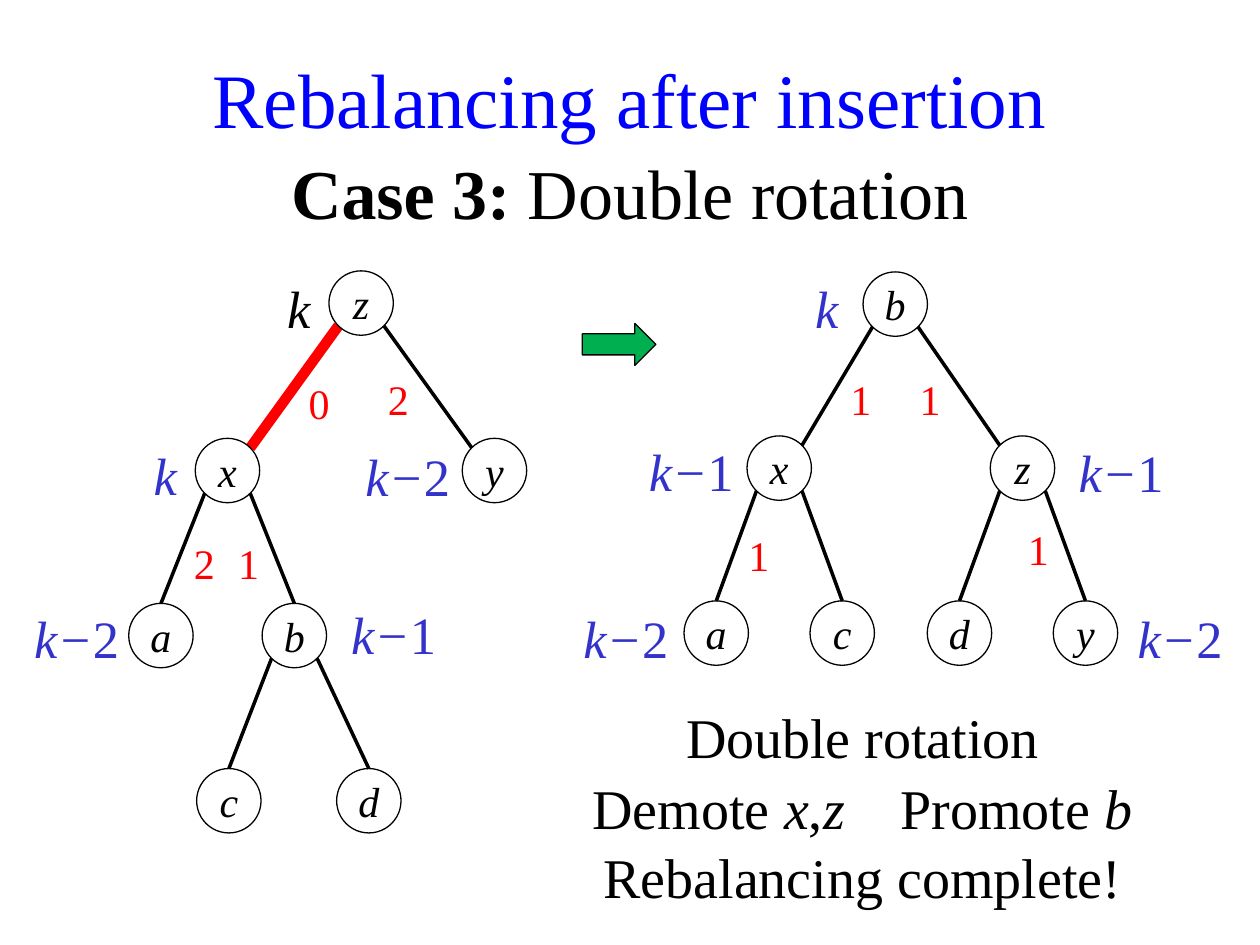
from lxml import etree
from pptx import Presentation
from pptx.dml.color import RGBColor
from pptx.enum.shapes import MSO_CONNECTOR, MSO_SHAPE
from pptx.enum.text import MSO_ANCHOR, PP_ALIGN
from pptx.oxml.ns import qn
from pptx.util import Pt

STRAIGHT = MSO_CONNECTOR.STRAIGHT
OVAL, RIGHT_ARROW = MSO_SHAPE.OVAL, MSO_SHAPE.RIGHT_ARROW
MIDDLE = MSO_ANCHOR.MIDDLE
CENTER, LEFT = PP_ALIGN.CENTER, PP_ALIGN.LEFT

BLACK = RGBColor(0x00, 0x00, 0x00)
RED = RGBColor(0xFF, 0x00, 0x00)
BLUE = RGBColor(0x00, 0x00, 0xFF)
INDIGO = RGBColor(0x33, 0x33, 0xCC)
GREEN = RGBColor(0x00, 0xB0, 0x50)

RADIUS = 18.4
DIAGONAL = 13  # offset of a point at 45 degrees on a node's rim
ITALIC = {"italic": True}

prs = Presentation()
prs.slide_width, prs.slide_height = Pt(720), Pt(540)
slide = prs.slides.add_slide(prs.slide_layouts[6])


def write(shape, runs, size, color, align=CENTER):
    """Fill the first paragraph with (text, format) runs."""
    paragraph = shape.text_frame.paragraphs[0]
    paragraph.alignment = align
    for text, extra in runs:
        run = paragraph.add_run()
        run.text = text
        run.font.color.rgb = color
        style = {"name": "Times New Roman", "size": Pt(size), **extra}
        for attribute, value in style.items():
            setattr(run.font, attribute, value)
    return paragraph


def add_text(center, top, width, height, runs, size, color, align=CENTER):
    box = slide.shapes.add_textbox(Pt(center - width / 2), Pt(top), Pt(width), Pt(height))
    box.text_frame.word_wrap = True
    return box, write(box, runs, size, color, align)


title, _ = add_text(360, 19, 720, 73.4, [("Rebalancing after insertion", {})], 44, BLUE)
title.text_frame.vertical_anchor = MIDDLE
add_text(360, 82, 720, 55.4, [("Case 3:", {"bold": True}), (" Double rotation", {})], 40, BLACK)

# Nodes: letter -> centre. Edges: parent, child, colour, width.
# Ranks and rank differences: text, centre, top, colour.
before = {
    "nodes": {"z": (206.4, 173.2), "x": (130, 268.9), "y": (282.6, 268.9),
              "a": (92, 363.2), "b": (168.2, 363.2), "c": (130.8, 457.6), "d": (210.8, 457.6)},
    "edges": [("z", "x", RED, 6), ("z", "y", BLACK, 2), ("x", "a", BLACK, 2),
              ("x", "b", BLACK, 2), ("b", "c", BLACK, 2), ("b", "d", BLACK, 2)],
    "ranks": [("k", 170.8, 154, BLACK), ("k", 94.5, 249.5, INDIGO), ("k−2", 233, 250, INDIGO),
              ("k−2", 43.8, 343, INDIGO), ("k−1", 225, 340.5, INDIGO)],
    "differences": [("0", 182.3, 212), ("2", 227.6, 210), ("2", 116.8, 303.5), ("1", 142, 303.5)],
}
after = {
    "nodes": {"b": (511.6, 173.8), "x": (445.3, 267.5), "z": (584.3, 267.5),
              "a": (409.3, 361.8), "c": (481.3, 361.8), "d": (548.3, 361.8), "y": (620.3, 361.8)},
    "edges": [("b", "x", BLACK, 2), ("b", "z", BLACK, 2), ("x", "a", BLACK, 2),
              ("x", "c", BLACK, 2), ("z", "d", BLACK, 2), ("z", "y", BLACK, 2)],
    "ranks": [("k", 472.5, 154, INDIGO), ("k−1", 395, 247.5, INDIGO), ("k−1", 640.6, 248, INDIGO),
              ("k−2", 357.6, 343, INDIGO), ("k−2", 674.4, 343, INDIGO)],
    "differences": [("1", 491.9, 210), ("1", 531.5, 210), ("1", 433.6, 299), ("1", 593.4, 295.5)],
}

for tree in (before, after):
    nodes = tree["nodes"]
    root = next(iter(nodes))

    for parent, child, color, width in tree["edges"]:
        (parent_x, parent_y), (child_x, child_y) = nodes[parent], nodes[child]
        side = 1 if child_x > parent_x else -1
        # Edges from the root meet the child at its rim diagonal, others at its top
        if parent == root:
            end_x, end_y = child_x - side * DIAGONAL, child_y - DIAGONAL
        else:
            end_x, end_y = child_x, child_y - RADIUS
        edge = slide.shapes.add_connector(
            STRAIGHT, Pt(parent_x + side * DIAGONAL), Pt(parent_y + DIAGONAL), Pt(end_x), Pt(end_y))
        edge.line.color.rgb = color
        edge.line.width = Pt(width)
        etree.SubElement(edge._element.spPr, qn("a:effectLst"))

    for letter, (x, y) in nodes.items():
        node = slide.shapes.add_shape(
            OVAL, Pt(x - RADIUS), Pt(y - RADIUS), Pt(2 * RADIUS), Pt(2 * RADIUS))
        node.shadow.inherit = False
        node.fill.background()
        node.line.color.rgb = BLACK
        node.line.width = Pt(0.75)
        frame = node.text_frame
        frame.vertical_anchor = MIDDLE
        for margin in ("margin_left", "margin_top", "margin_right", "margin_bottom"):
            setattr(frame, margin, 0)
        write(node, [(letter, ITALIC)], 24, BLACK)

    for rank, center, top, color in tree["ranks"]:
        runs = [(rank[:2], ITALIC)] + [(digit, {}) for digit in rank[2:]]
        add_text(center, top, 77, 44, runs, 30, color)

    for difference, center, top in tree["differences"]:
        add_text(center, top, 46, 36, [(difference, {})], 24, RED)

arrow = slide.shapes.add_shape(RIGHT_ARROW, Pt(332.8), Pt(184.8), Pt(42), Pt(24))
arrow.shadow.inherit = False
arrow.fill.solid()
arrow.fill.fore_color.rgb = GREEN
arrow.line.color.rgb = BLACK
arrow.line.width = Pt(0.75)

add_text(493, 398, 425, 46, [("Double rotation", {})], 32, BLACK)
add_text(493, 478, 382, 46, [("Rebalancing complete!", {})], 32, BLACK)
_, steps = add_text(
    507, 438.5, 351, 46,
    [("Demote ", {}), ("x", ITALIC), (",", {}), ("z", ITALIC), ("\tPromote ", {}), ("b", ITALIC)],
    32, BLACK, LEFT)
tab_stops = etree.SubElement(steps._p.get_or_add_pPr(), qn("a:tabLst"))
etree.SubElement(tab_stops, qn("a:tab"), pos=str(Pt(176)), algn="l")

prs.save("out.pptx")
